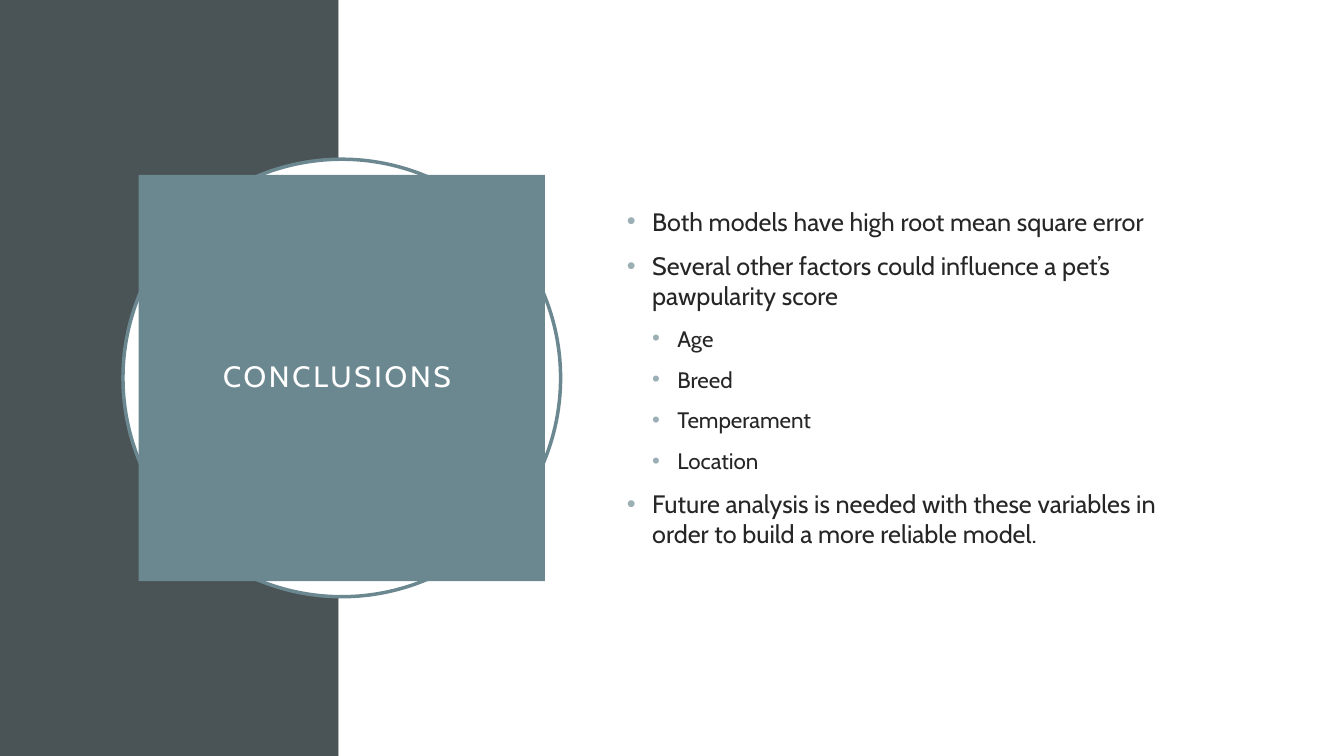
from lxml.etree import SubElement
from pptx import Presentation
from pptx.dml.color import RGBColor
from pptx.enum.shapes import MSO_SHAPE
from pptx.enum.text import MSO_ANCHOR, PP_ALIGN
from pptx.oxml.ns import qn
from pptx.util import Inches, Pt

# Content: title, then (level, text) bullets
TITLE = "CONCLUSIONS "
BULLETS = [
    (0, "Both models have high root mean square error"),
    (0, "Several other factors could influence a pet\u2019s pawpularity score"),
    (1, "Age"),
    (1, "Breed"),
    (1, "Temperament"),
    (1, "Location"),
    (0, "Future analysis is needed with these variables in order to build "
        "a more reliable model. "),
]

THEME = {
    "font": "Cabin",
    "dark": "4A5356", "accent": "6B8891", "white": "FFFFFF",
    "text": "262626", "bullet": "9BAFB5",
    "title_size": 21, "level_sizes": (18, 16),
}

# Layout in inches
WIDTH, HEIGHT = 13.33, 7.5
BAND_WIDTH = 3.36
CENTER_X, CENTER_Y = 3.39, 3.75
RING_SIZE, TITLE_SIZE = 4.34, 4.03
BODY_BOX = (6.12, 1.53, 5.82, 4.43)
INDENT = 0.25


def rgb(name):
    return RGBColor.from_string(THEME[name])


def centered(size):
    return CENTER_X - size / 2, CENTER_Y - size / 2, size, size


def add_block(s, kind, box, fill, line=None):
    sp = s.shapes.add_shape(kind, *map(Inches, box))
    sp.shadow.inherit = False
    sp.fill.solid()
    sp.fill.fore_color.rgb = rgb(fill)
    if line:
        sp.line.color.rgb = rgb(line)
        sp.line.width = Pt(2.5)
    else:
        sp.line.fill.background()
    return sp


def add_text(p, text, size, color, align=PP_ALIGN.LEFT, spacing=None,
             before=0, tracking=0, level=None):
    p.alignment = align
    p.line_spacing = spacing
    p.space_before = Pt(before)
    r = p.add_run()
    r.text = text
    r.font.name = THEME["font"]
    r.font.size = Pt(size)
    r.font.color.rgb = rgb(color)
    if tracking:
        r._r.get_or_add_rPr().set("spc", str(int(tracking * 100)))
    if level is not None:
        p.level = level
        pPr = p._p.get_or_add_pPr()
        pPr.set("marL", str(Inches(INDENT * (level + 1))))
        pPr.set("indent", str(Inches(-INDENT)))
        color_el = SubElement(pPr, qn("a:buClr"))
        SubElement(color_el, qn("a:srgbClr"), val=THEME["bullet"])
        SubElement(pPr, qn("a:buFont"), typeface="Arial")
        SubElement(pPr, qn("a:buChar"), char="\u2022")


prs = Presentation()
prs.slide_width, prs.slide_height = Inches(WIDTH), Inches(HEIGHT)
s = prs.slides.add_slide(prs.slide_layouts[6])

# Background panels and ring
add_block(s, MSO_SHAPE.RECTANGLE, (0, 0, BAND_WIDTH, HEIGHT), "dark")
add_block(s, MSO_SHAPE.RECTANGLE,
          (BAND_WIDTH, 0, WIDTH - BAND_WIDTH, HEIGHT), "white")
add_block(s, MSO_SHAPE.OVAL, centered(RING_SIZE), "white", line="accent")

# Title square
sp = add_block(s, MSO_SHAPE.RECTANGLE, centered(TITLE_SIZE), "accent")
tf = sp.text_frame
tf.word_wrap = True
tf.vertical_anchor = MSO_ANCHOR.MIDDLE
tf.margin_left = tf.margin_right = tf.margin_top = tf.margin_bottom = Inches(0.2)
add_text(tf.paragraphs[0], TITLE, THEME["title_size"], "white",
         align=PP_ALIGN.CENTER, spacing=0.9, tracking=2)

# Bulleted conclusions
tf = s.shapes.add_textbox(*map(Inches, BODY_BOX)).text_frame
tf.word_wrap = True
tf.vertical_anchor = MSO_ANCHOR.MIDDLE
for i, (level, text) in enumerate(BULLETS):
    p = tf.add_paragraph() if i else tf.paragraphs[0]
    add_text(p, text, THEME["level_sizes"][level], "text",
             before=10, level=level)

prs.save("out.pptx")
